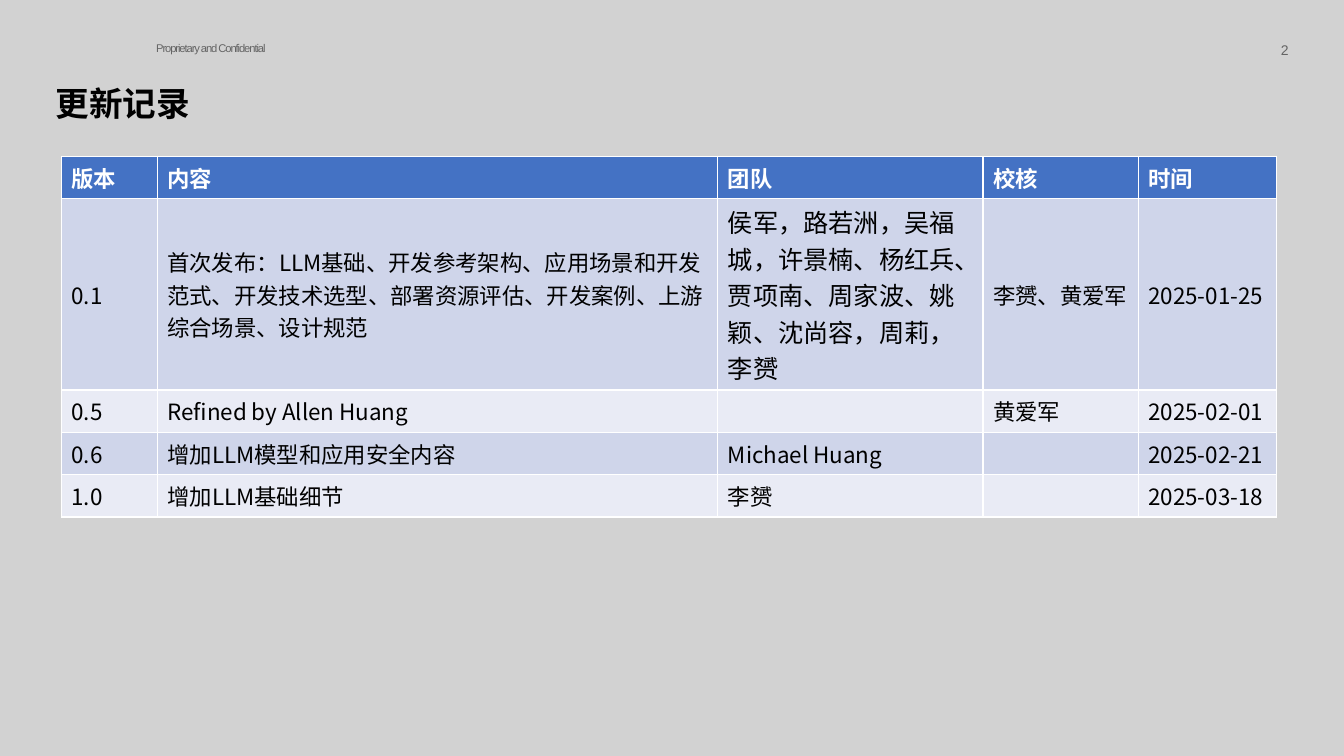
from pptx import Presentation
from pptx.dml.color import RGBColor
from pptx.enum.text import MSO_ANCHOR as ANCHOR, MSO_AUTO_SIZE as AUTO, PP_ALIGN as ALIGN
from pptx.oxml.ns import qn
from pptx.util import Inches, Pt

BACKGROUND = RGBColor(0xD2, 0xD2, 0xD2)
GREY = RGBColor(0x64, 0x64, 0x64)
BLACK = RGBColor(0, 0, 0)
WHITE = RGBColor(0xFF, 0xFF, 0xFF)
HEADER = RGBColor(0x44, 0x72, 0xC4)
BANDS = [RGBColor(0xE9, 0xEB, 0xF5), RGBColor(0xCF, 0xD5, 0xEA)]
CJK = "Noto Sans CJK SC"

# Content
TITLE = "更新记录"
NOTICE = "Proprietary and Confidential"
PAGE = "2"
ROWS = [
    ("版本", "内容", "团队", "校核", "时间"),
    ("0.1",
     "首次发布：LLM基础、开发参考架构、应用场景和开发范式、开发技术选型、部署资源评估、开发案例、上游综合场景、设计规范",
     "侯军，路若洲，吴福城，许景楠、杨红兵、贾项南、周家波、姚颖、沈尚容，周莉，李赟",
     "李赟、黄爱军", "2025-01-25"),
    ("0.5", "Refined by Allen Huang", "", "黄爱军", "2025-02-01"),
    ("0.6", "增加LLM模型和应用安全内容", "Michael Huang", "", "2025-02-21"),
    ("1.0", "增加LLM基础细节", "李赟", "", "2025-03-18"),
]
COL_WIDTHS = [0.95, 5.56, 2.63, 1.54, 1.37]
ROW_HEIGHTS = [0.42, 1.9, 0.42, 0.42, 0.42]
TEAM_CELL = (1, 2)  # the long name list is set larger


def write(tf, text, font=CJK, size=16, color=BLACK, bold=False,
          align=ALIGN.LEFT, spacing=None, line=None):
    p = tf.paragraphs[0]
    p.alignment = align
    if line:
        p.line_spacing = line
    r = p.add_run()
    r.text = text
    r.font.name, r.font.size, r.font.bold = font, Pt(size), bold
    r.font.color.rgb = color
    rPr = r._r.get_or_add_rPr()
    rPr.find(qn("a:latin")).addnext(rPr.makeelement(qn("a:ea"), {"typeface": CJK}))
    if spacing:
        rPr.set("spc", str(round(spacing * 100)))


prs = Presentation()
prs.slide_width, prs.slide_height = Inches(13.33), Inches(7.5)
s = prs.slides.add_slide(prs.slide_layouts[5])
s.background.fill.solid()
s.background.fill.fore_color.rgb = BACKGROUND

# Confidentiality notice and page number
small = dict(font="Arial", color=GREY, spacing=-0.8)
notice = s.shapes.add_textbox(Inches(1.45), Inches(0.36), Inches(1.32), Inches(0.24))
notice.text_frame.word_wrap = False
write(notice.text_frame, NOTICE, size=8, **small)
page = s.shapes.add_textbox(Inches(11.91), Inches(0.3), Inches(0.97), Inches(0.39))
page.text_frame.word_wrap = True
page.text_frame.vertical_anchor = ANCHOR.MIDDLE
write(page.text_frame, PAGE, size=10, align=ALIGN.RIGHT, **small)

# Title
title = s.shapes.title
title.left, title.top = Inches(0.45), Inches(0.82)
title.width, title.height = Inches(12.43), Inches(0.6)
title.text_frame.auto_size = AUTO.NONE
title.text_frame.vertical_anchor = ANCHOR.TOP
write(title.text_frame, TITLE, font="Calibri", size=24, bold=True, line=0.9)

# Revision table: the default style draws the white rules
table = s.shapes.add_table(len(ROWS), len(COL_WIDTHS), Inches(0.61), Inches(1.55),
                           Inches(sum(COL_WIDTHS)), Inches(sum(ROW_HEIGHTS))).table
for col, width in zip(table.columns, COL_WIDTHS):
    col.width = Inches(width)
for i, (row, height) in enumerate(zip(ROWS, ROW_HEIGHTS)):
    table.rows[i].height = Inches(height)
    for j, text in enumerate(row):
        cell = table.cell(i, j)
        cell.vertical_anchor = ANCHOR.MIDDLE
        cell.fill.solid()
        cell.fill.fore_color.rgb = BANDS[i % 2] if i else HEADER
        if text:
            write(cell.text_frame, text, size=18 if (i, j) == TEAM_CELL else 16,
                  color=BLACK if i else WHITE, bold=i == 0)

prs.save("out.pptx")
